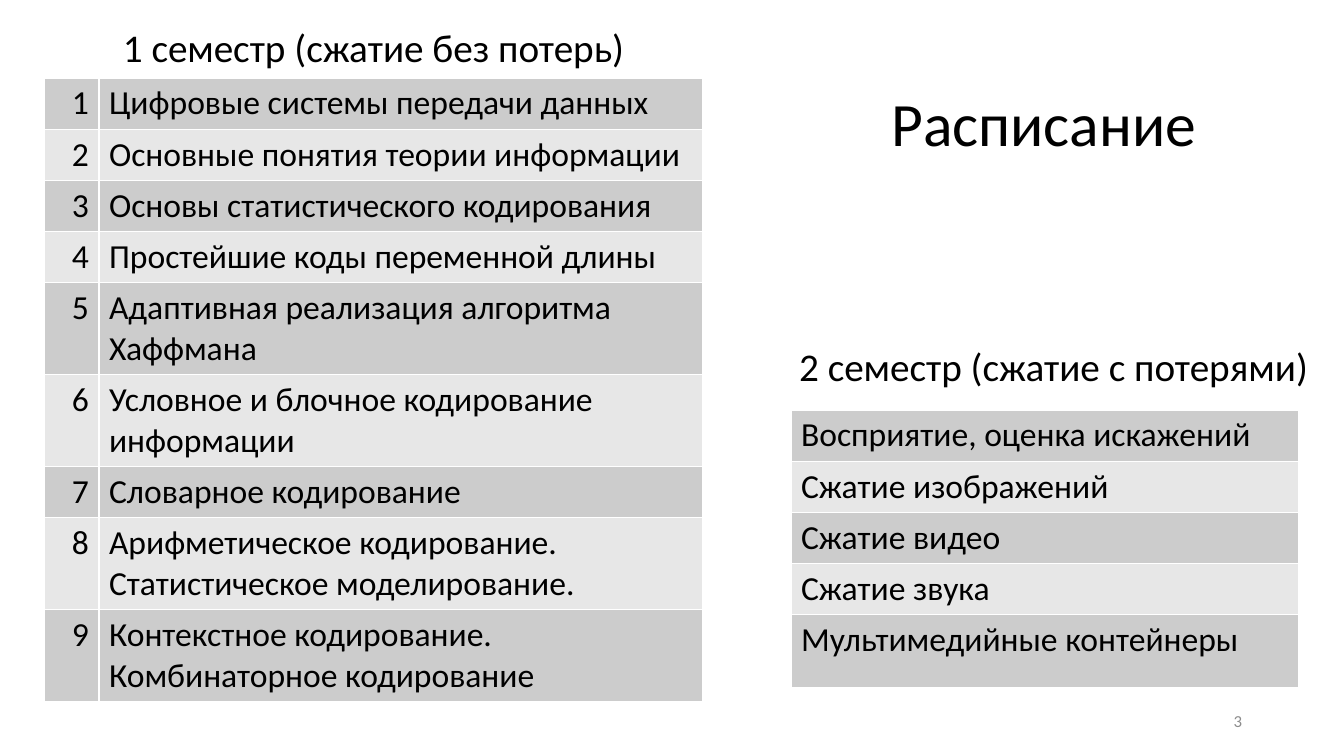
from dataclasses import dataclass

from lxml import etree
from pptx import Presentation
from pptx.dml.color import RGBColor
from pptx.enum.text import MSO_ANCHOR, MSO_AUTO_SIZE, PP_ALIGN
from pptx.oxml.ns import qn
from pptx.util import Pt

LEFT, CENTER, RIGHT = PP_ALIGN.LEFT, PP_ALIGN.CENTER, PP_ALIGN.RIGHT
TOP, MIDDLE = MSO_ANCHOR.TOP, MSO_ANCHOR.MIDDLE
NO_AUTOSIZE = MSO_AUTO_SIZE.NONE

TITLE = "Расписание"
SLIDE_NUMBER = "3"
FIRST_HEADING = "1 семестр (сжатие без потерь)"
SECOND_HEADING = "2 семестр (сжатие с потерями)"
FIRST_TOPICS = [
    ("Цифровые системы передачи данных", 1),
    ("Основные понятия теории информации", 1),
    ("Основы статистического кодирования", 1),
    ("Простейшие коды переменной длины", 1),
    ("Адаптивная реализация алгоритма Хаффмана", 2),
    ("Условное и блочное кодирование информации", 2),
    ("Словарное кодирование", 1),
    ("Арифметическое кодирование. Статистическое моделирование.", 2),
    ("Контекстное кодирование. Комбинаторное кодирование", 2),
]
SECOND_TOPICS = [
    "Восприятие, оценка искажений",
    "Сжатие изображений",
    "Сжатие видео",
    "Сжатие звука",
    "Мультимедийные контейнеры",
]

LINE_HEIGHT, CELL_PADDING, LAST_ROW_HEIGHT = 41, 10, 73


@dataclass(frozen=True)
class Theme:
    font: str = "Calibri"
    text: str = "000000"
    muted: str = "8C8C8C"
    border: str = "FFFFFF"
    bands: tuple = ("CCCCCC", "E7E7E7")
    title_size: int = 44
    heading_size: int = 28
    cell_size: int = 24
    number_size: int = 12


THEME = Theme()


def px(length):
    return round(length * 914400 / 100.8)


def write(frame, text, size, align, anchor=TOP, color=THEME.text):
    frame.vertical_anchor = anchor
    paragraph = frame.paragraphs[0]
    paragraph.alignment = align
    run = paragraph.add_run()
    run.text = text
    run.font.name = THEME.font
    run.font.size = Pt(size)
    run.font.color.rgb = RGBColor.from_string(color)
    return paragraph


def add_label(slide, box, text, size, align, anchor=TOP, color=THEME.text, wrap=False):
    frame = slide.shapes.add_textbox(*map(px, box)).text_frame
    frame.word_wrap = wrap
    write(frame, text, size, align, anchor, color)


def add_borders(cell):
    properties = cell._tc.get_or_add_tcPr()
    for side in ("lnL", "lnR", "lnT", "lnB"):
        line = etree.SubElement(properties, qn(f"a:{side}"), w=str(Pt(1)))
        fill = etree.SubElement(line, qn("a:solidFill"))
        etree.SubElement(fill, qn("a:srgbClr"), val=THEME.border)


def add_schedule(slide, left, top, widths, heights, rows, aligns):
    box = (left, top, sum(widths), sum(heights))
    table = slide.shapes.add_table(len(rows), len(widths), *map(px, box)).table
    table.first_row = False
    table.horz_banding = False
    for column, width in zip(table.columns, widths):
        column.width = px(width)
    for index, (row, height, texts) in enumerate(zip(table.rows, heights, rows)):
        row.height = px(height)
        for cell, text, align in zip(row.cells, texts, aligns):
            add_borders(cell)
            cell.fill.solid()
            cell.fill.fore_color.rgb = RGBColor.from_string(THEME.bands[index % 2])
            write(cell.text_frame, text, THEME.cell_size, align)


def main():
    presentation = Presentation()
    presentation.slide_width, presentation.slide_height = px(1344), px(756)
    slide = presentation.slides.add_slide(presentation.slide_layouts[5])

    title = slide.shapes.title
    title.left, title.top, title.width, title.height = map(px, (854, 54, 380, 146))
    title.text_frame.auto_size = NO_AUTOSIZE
    paragraph = write(title.text_frame, TITLE, THEME.title_size, CENTER, MIDDLE)
    paragraph.line_spacing = 0.9

    first_rows = [(str(n), topic) for n, (topic, _) in enumerate(FIRST_TOPICS, 1)]
    first_heights = [lines * LINE_HEIGHT + CELL_PADDING for _, lines in FIRST_TOPICS]
    add_schedule(slide, 44, 78, (55, 604), first_heights, first_rows, (RIGHT, LEFT))

    second_rows = [(topic,) for topic in SECOND_TOPICS]
    second_heights = [LINE_HEIGHT + CELL_PADDING] * (len(second_rows) - 1) + [LAST_ROW_HEIGHT]
    add_schedule(slide, 791, 410, (508,), second_heights, second_rows, (LEFT,))

    add_label(slide, (110, 18, 527, 57), FIRST_HEADING, THEME.heading_size, CENTER)
    add_label(slide, (786, 337, 535, 57), SECOND_HEADING, THEME.heading_size, CENTER)
    add_label(slide, (950, 701, 302, 40), SLIDE_NUMBER, THEME.number_size, RIGHT,
              MIDDLE, THEME.muted, wrap=True)

    presentation.save("out.pptx")


if __name__ == "__main__":
    main()
